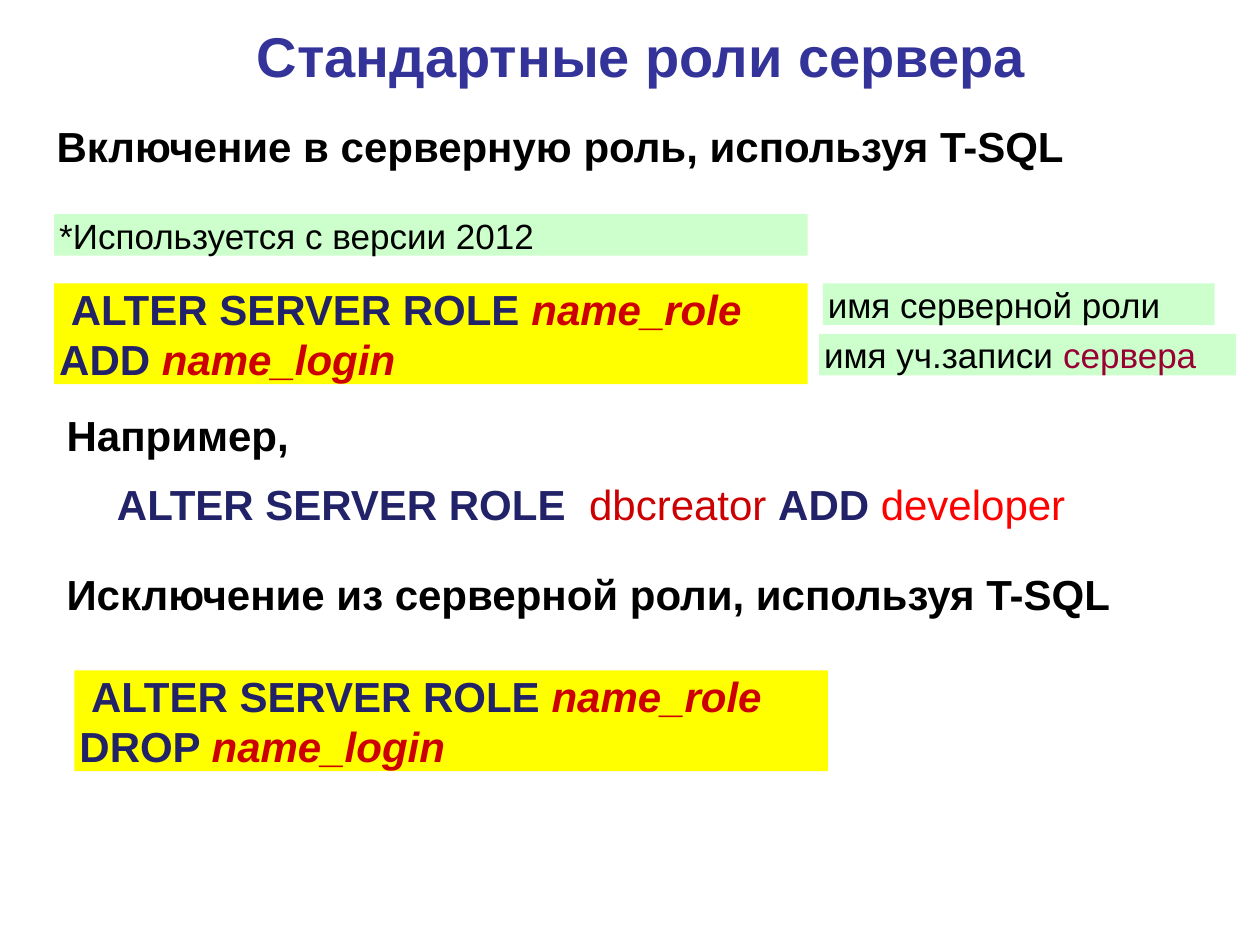
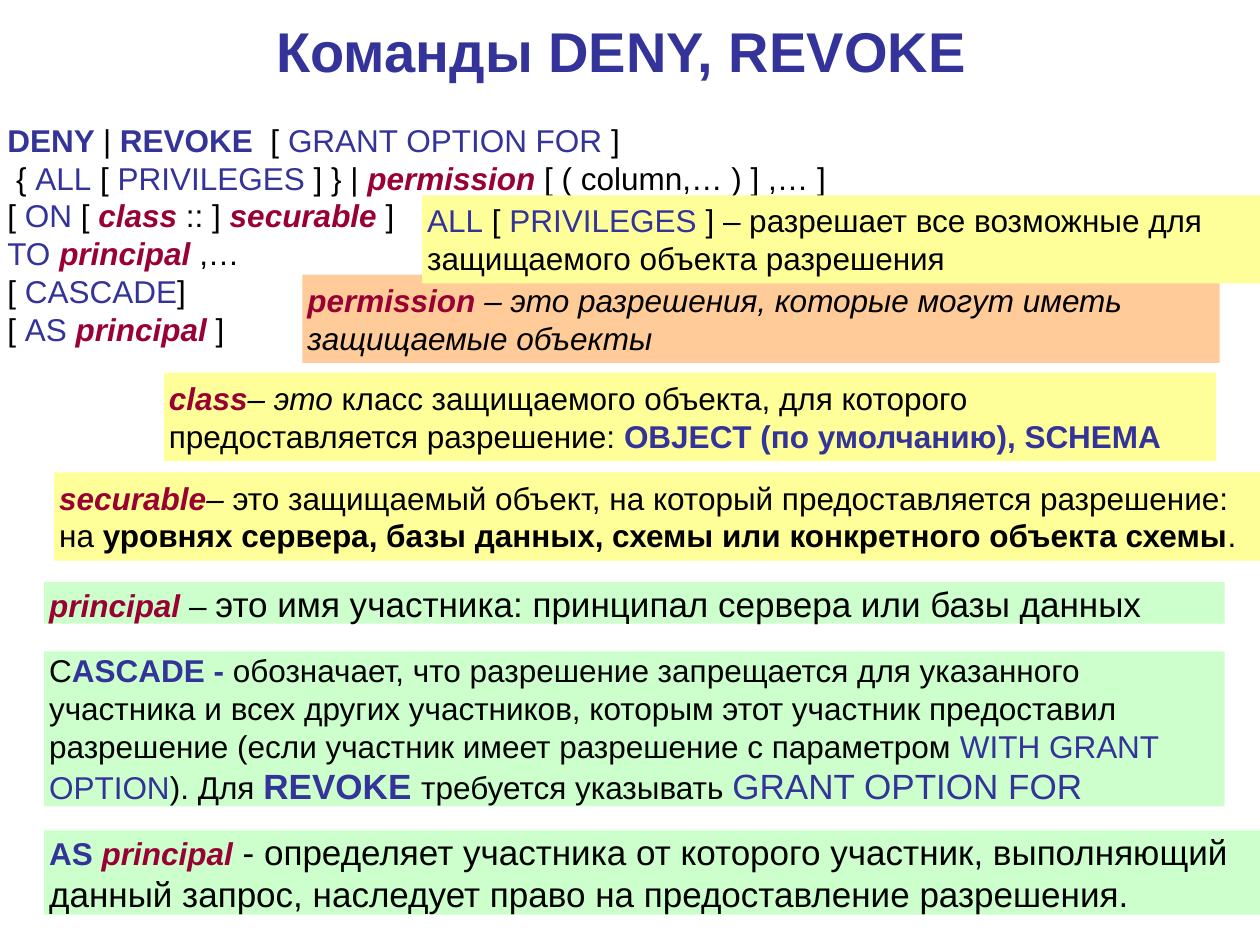
from dataclasses import dataclass, replace
from pptx import Presentation
from pptx.dml.color import RGBColor
from pptx.enum.shapes import MSO_SHAPE
from pptx.enum.text import MSO_ANCHOR, PP_ALIGN
from pptx.util import Inches, Pt

# Colours
BLACK = RGBColor(0x00, 0x00, 0x00)
INDIGO = RGBColor(0x33, 0x33, 0x99)
NAVY = RGBColor(0x22, 0x22, 0x68)
RED = RGBColor(0xCC, 0x00, 0x00)
BRIGHT_RED = RGBColor(0xFF, 0x00, 0x00)
CRIMSON = RGBColor(0x99, 0x00, 0x33)
GREEN = RGBColor(0xCC, 0xFF, 0xCC)
YELLOW = RGBColor(0xFF, 0xFF, 0x00)
PALE_YELLOW = RGBColor(0xFF, 0xFF, 0x99)
PEACH = RGBColor(0xFF, 0xCC, 0x99)


@dataclass(frozen=True)
class Style:
    color: RGBColor = BLACK
    bold: bool = False
    italic: bool = False
    size: float = None

    def apply(self, font):
        font.color.rgb = self.color
        font.bold = self.bold
        font.italic = self.italic
        if self.size:
            font.size = Pt(self.size)


# Text styles
PLAIN = Style()
STRONG = Style(bold=True)
SLANTED = Style(italic=True)
LARGE = Style(size=20)
WORD = Style(INDIGO)
KEYWORD = Style(INDIGO, bold=True)
TERM = Style(CRIMSON, bold=True, italic=True)
COMMAND = Style(NAVY, bold=True)
ARGUMENT = Style(RED, bold=True, italic=True)


class Deck:
    font_name = "Arial"
    title_size = 32

    def __init__(self):
        self.presentation = Presentation()
        self.presentation.slide_width = Inches(10)
        self.presentation.slide_height = Inches(7.5)
        self.slide = None

    def new_slide(self, title, left, height):
        layout = self.presentation.slide_layouts[6]
        self.slide = self.presentation.slides.add_slide(layout)
        heading = self.text((left, 0.13, 9, height), self.title_size, [(title, KEYWORD)])
        heading.vertical_anchor = MSO_ANCHOR.MIDDLE
        heading.paragraphs[0].alignment = PP_ALIGN.CENTER

    def text(self, place, size, *lines):
        box = self.slide.shapes.add_textbox(*map(Inches, place))
        return self.fill_text(box.text_frame, size, lines, 0.1, 0.05)

    def band(self, place, fill, size, *runs, inset=0):
        """Filled rectangle with one paragraph."""
        box = self.slide.shapes.add_shape(MSO_SHAPE.RECTANGLE, *map(Inches, place))
        box.shadow.inherit = False
        box.fill.solid()
        box.fill.fore_color.rgb = fill
        box.line.fill.background()
        return self.fill_text(box.text_frame, size, [runs], 0.04, inset)

    def fill_text(self, frame, size, lines, side, inset):
        frame.word_wrap = True
        frame.vertical_anchor = MSO_ANCHOR.TOP
        frame.margin_left = frame.margin_right = Inches(side)
        frame.margin_top = frame.margin_bottom = Inches(inset)
        for index, runs in enumerate(lines):
            paragraph = frame.add_paragraph() if index else frame.paragraphs[0]
            paragraph.alignment = PP_ALIGN.LEFT
            paragraph.font.name = self.font_name
            paragraph.font.size = Pt(size)
            agree = len({style for _, style in runs}) == 1
            if agree:
                runs[0][1].apply(paragraph.font)
            for words, style in runs:
                run = paragraph.add_run()
                run.text = words
                if not agree:
                    style.apply(run.font)
        return frame

    def heading(self, place, words):
        self.text(place, 24, [(words, STRONG)])

    def statement(self, left, top, verb):
        self.band((left, top, 5.98, 0.8), YELLOW, 24,
                  (" ", PLAIN), ("ALTER SERVER ROLE ", COMMAND),
                  ("name_role ", ARGUMENT), (verb + " ", COMMAND),
                  ("name_login", ARGUMENT))

    def note(self, left, top, width, *runs):
        self.band((left, top, width, 0.33), GREEN, 20, *runs)

    def definition(self, left, top, width, fill, *runs):
        self.band((left, top, width, 0.7), fill, 18, *runs, inset=0.05)

    def clause(self, top, width, height, *runs):
        self.band((0.35, top, width, height), GREEN, 18, *runs)


def server_roles(deck):
    deck.new_slide("Стандартные роли сервера", 0.59, 0.61)

    # Adding to a role
    deck.heading((0.35, 0.91, 9.21, 0.5), "Включение в серверную роль, используя T-SQL")
    deck.note(0.43, 1.7, 5.98, ("*Используется с версии 2012", PLAIN))
    deck.statement(0.43, 2.25, "ADD")
    deck.note(6.53, 2.25, 3.11, ("имя серверной роли", PLAIN))
    deck.note(6.5, 2.65, 3.31, ("имя уч.записи ", PLAIN), ("сервера", Style(CRIMSON)))

    # Example
    deck.heading((0.43, 3.2, 2.88, 0.5), "Например,")
    deck.text((0.83, 3.75, 8.03, 0.5), 24, [
        ("ALTER SERVER ROLE  ", COMMAND), ("dbcreator ", Style(RED)),
        ("ADD", COMMAND), (" developer", Style(BRIGHT_RED))])

    # Removing from a role
    deck.heading((0.43, 4.46, 9.21, 0.5), "Исключение из серверной роли, используя T-SQL")
    deck.statement(0.59, 5.32, "DROP")


def deny_revoke(deck):
    deck.new_slide("Команды DENY, REVOKE", 0.43, 0.54)

    # Syntax
    deck.text(
        (-0.04, 0.91, 7.28, 1.9), 18,
        [("DENY ", KEYWORD), ("|", PLAIN), (" REVOKE ", KEYWORD), (" [ ", PLAIN),
         ("GRANT OPTION FOR ", WORD), ("]", PLAIN)],
        [(" { ", PLAIN), ("ALL", WORD), (" [ ", PLAIN), ("PRIVILEGES", WORD),
         (" ] } | ", PLAIN), ("permission", TERM), (" [ ( column,… ) ] ,… ]", PLAIN)],
        [("[ ", PLAIN), ("ON", WORD), (" [ ", PLAIN), ("class", TERM),
         (" :: ] ", PLAIN), ("securable", TERM), (" ]", PLAIN)],
        [("TO ", WORD), ("principal", TERM), (" ,…", PLAIN)],
        [("[ ", PLAIN), ("CASCADE", WORD), ("]", PLAIN)],
        [("[ ", PLAIN), ("AS ", WORD), ("principal", TERM), (" ]", PLAIN)])

    # Definitions of the terms
    deck.definition(
        2.4, 2.18, 7.28, PEACH, ("permission ", TERM),
        ("– это разрешения, которые могут иметь защищаемые объекты", SLANTED))
    deck.definition(
        3.35, 1.55, 6.65, PALE_YELLOW,
        ("ALL", WORD), (" [ ", PLAIN), ("PRIVILEGES ", WORD),
        ("] – разрешает все возможные для защищаемого объекта разрешения", PLAIN))
    deck.definition(
        1.3, 2.96, 8.35, PALE_YELLOW, ("class", TERM), ("– это ", SLANTED),
        ("класс защищаемого объекта, для которого предоставляется разрешение: ", PLAIN),
        ("OBJECT (по умолчанию), SCHEMA", KEYWORD))
    deck.definition(
        0.43, 3.75, 9.57, PALE_YELLOW, ("securable", TERM), ("– ", SLANTED),
        ("это защищаемый объект, на который предоставляется разрешение: на ", PLAIN),
        ("уровнях сервера, базы данных, схемы или конкретного объекта схемы", STRONG),
        (".", PLAIN))

    # Clauses
    deck.clause(
        4.62, 9.37, 0.33, ("principal", TERM), (" – ", PLAIN),
        ("это имя участника: принципал сервера или базы данных", LARGE))
    deck.clause(
        5.17, 9.37, 1.23, ("C", PLAIN), ("ASCADE -", KEYWORD),
        (" обозначает, что разрешение запрещается для указанного участника и всех "
         "других участников, которым этот участник предоставил разрешение (если "
         "участник имеет разрешение с параметром ", PLAIN),
        ("WITH GRANT OPTION", WORD), ("). Для ", PLAIN),
        ("REVOKE ", replace(KEYWORD, size=20)), ("требуется указывать ", PLAIN),
        ("GRANT OPTION FOR", replace(WORD, size=20)))
    deck.clause(
        6.59, 9.65, 0.67, ("AS ", KEYWORD), ("principal", TERM),
        (" - определяет участника от которого участник, выполняющий данный запрос, "
         "наследует право на предоставление разрешения.", LARGE))


def main():
    deck = Deck()
    server_roles(deck)
    deny_revoke(deck)
    deck.presentation.save("out.pptx")


if __name__ == "__main__":
    main()
